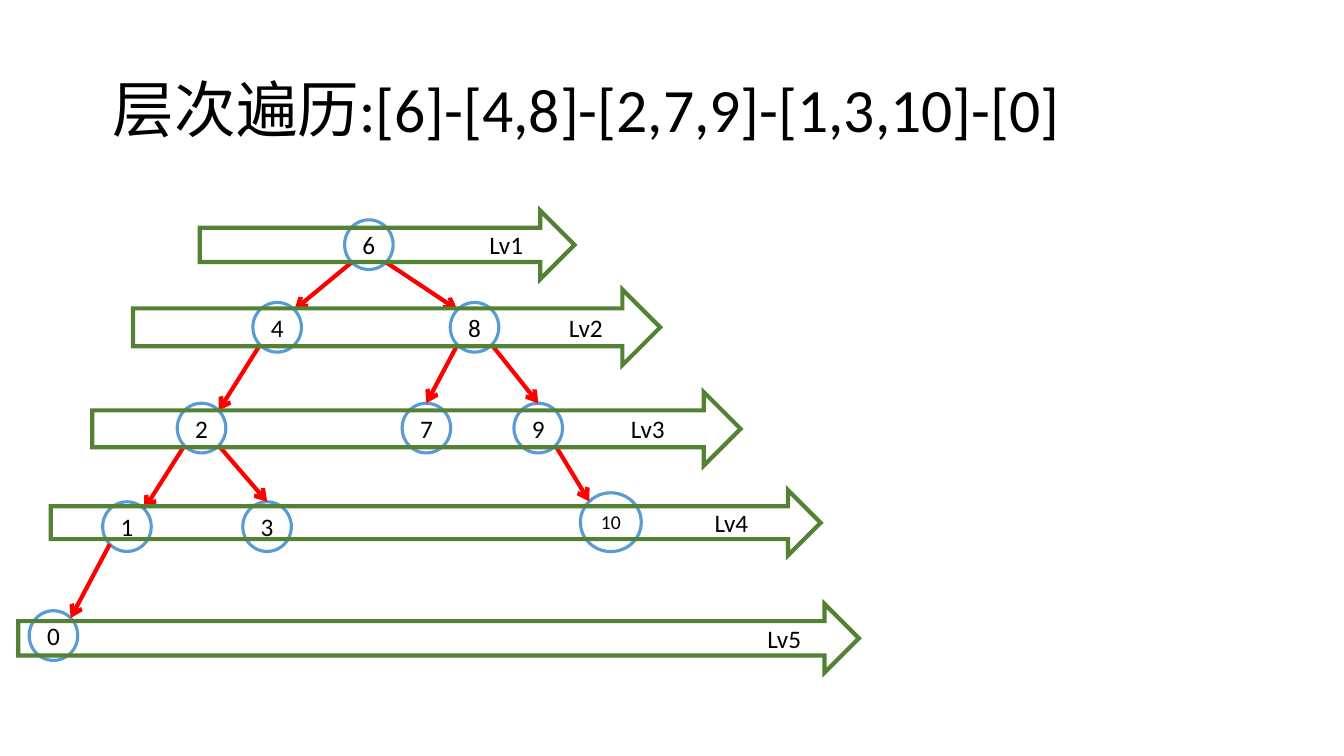
import math

import pptx
import pptx.dml.color
import pptx.enum.shapes
import pptx.enum.text
import pptx.oxml
import pptx.util
from pptx.oxml.ns import nsdecls

SHAPES = pptx.enum.shapes.MSO_SHAPE
ALIGN = pptx.enum.text.PP_ALIGN
MIDDLE = pptx.enum.text.MSO_ANCHOR.MIDDLE
Pt = pptx.util.Pt

NODE_SIZE = (34.7, 35.5)
LARGE_NODE_SIZE = (43.5, 42)
NODES = {
    "6": (263.5, 174.8),
    "4": (198, 233.8),
    "8": (339, 233.8),
    "2": (144, 305.8),
    "3": (190.8, 376.2),
    "7": (304.6, 305.8),
    "9": (384.5, 305.8),
    "1": (90.7, 376.2),
    "10": (436.3, 373),
    "0": (38.2, 454),
}
LEFT, CENTER, RIGHT = -1, 0, 1
EDGES = [
    ("6", LEFT, "4", RIGHT),
    ("4", LEFT, "2", RIGHT),
    ("2", LEFT, "1", RIGHT),
    ("1", LEFT, "0", RIGHT),
    ("2", RIGHT, "3", CENTER),
    ("8", RIGHT, "9", CENTER),
    ("8", LEFT, "7", CENTER),
    ("9", RIGHT, "10", LEFT),
    ("6", RIGHT, "8", LEFT),
]
LEVELS = [
    ("Lv1", 142.6, 150.4, 267.8, 49, 24.5),
    ("Lv2", 95, 206.8, 376.6, 54, 27.5),
    ("Lv3", 66, 280, 463, 52.6, 41),
    ("Lv4", 36.2, 350, 550, 46.8, 40),
    ("Lv5", 13, 431.4, 600.5, 49, 29),
]


def color(value):
    return pptx.dml.color.RGBColor.from_string(value)


def apply(target, values):
    for name, value in values.items():
        setattr(target, name, value)


def write(shape, text, size, align, right_inset=0):
    frame = shape.text_frame
    apply(frame, {
        "word_wrap": True, "vertical_anchor": MIDDLE,
        "margin_left": 0, "margin_right": Pt(right_inset),
        "margin_top": 0, "margin_bottom": 0,
    })
    para = frame.paragraphs[0]
    para.alignment = align
    span = para.add_run()
    span.text = text
    apply(span.font, {"name": "Calibri", "size": Pt(size)})
    span.font.color.rgb = color("000000")
    return para


def outline(line, value, width):
    line.color.rgb = color(value)
    line.width = Pt(width)


def add_line_part(shape, tag):
    part = pptx.oxml.parse_xml(f"<a:{tag} {nsdecls('a')}/>")
    shape.line._get_or_add_ln().append(part)
    return part


def add_title(page, text):
    title = page.shapes.title
    apply(title, {"left": Pt(73.4), "top": Pt(28), "width": Pt(828), "height": Pt(104.4)})
    para = write(title, text, 44, ALIGN.LEFT)
    para.line_spacing = 0.9
    apply(title.text_frame, {
        "margin_left": Pt(7.2), "margin_right": Pt(7.2),
        "margin_top": Pt(3.6), "margin_bottom": Pt(3.6),
    })


def node_size(label):
    return LARGE_NODE_SIZE if len(label) > 1 else NODE_SIZE


def add_node(tree, label):
    x, y = NODES[label]
    width, height = node_size(label)
    node = tree.shapes.add_shape(
        SHAPES.OVAL, Pt(x - width / 2), Pt(y - height / 2), Pt(width), Pt(height))
    node.shadow.inherit = False
    node.fill.solid()
    node.fill.fore_color.rgb = color("FFFFFF")
    outline(node.line, "5B9BD5", 2.25)
    write(node, label, 14 if len(label) > 1 else 18, ALIGN.CENTER)


def rim_point(label, side, direction):
    x, y = NODES[label]
    width, height = node_size(label)
    angle = side * math.pi / 4
    return (Pt(x + width / 2 * math.sin(angle)),
            Pt(y + direction * height / 2 * math.cos(angle)))


def add_edge(tree, parent, parent_side, child, child_side):
    edge = tree.shapes.add_connector(
        pptx.enum.shapes.MSO_CONNECTOR.STRAIGHT,
        *rim_point(parent, parent_side, 1), *rim_point(child, child_side, -1))
    outline(edge.line, "FF0000", 3)
    add_line_part(edge, "tailEnd").set("type", "arrow")
    edge._element.spPr.append(pptx.oxml.parse_xml(f"<a:effectLst {nsdecls('a')}/>"))


def add_level(page, label, left, top, width, height, right_inset):
    arrow = page.shapes.add_shape(
        SHAPES.RIGHT_ARROW, Pt(left), Pt(top), Pt(width), Pt(height))
    arrow.shadow.inherit = False
    arrow.fill.background()
    outline(arrow.line, "548235", 3)
    add_line_part(arrow, "miter").set("lim", "800000")
    write(arrow, label, 18, ALIGN.RIGHT, right_inset)


def main():
    deck = pptx.Presentation()
    apply(deck, {"slide_width": Pt(960), "slide_height": Pt(540)})
    page = deck.slides.add_slide(deck.slide_layouts[5])
    add_title(page, "层次遍历:[6]-[4,8]-[2,7,9]-[1,3,10]-[0]")
    tree = page.shapes.add_group_shape()
    for label in NODES:
        add_node(tree, label)
    for edge in EDGES:
        add_edge(tree, *edge)
    for level in LEVELS:
        add_level(page, *level)
    deck.save("out.pptx")


if __name__ == "__main__":
    main()
